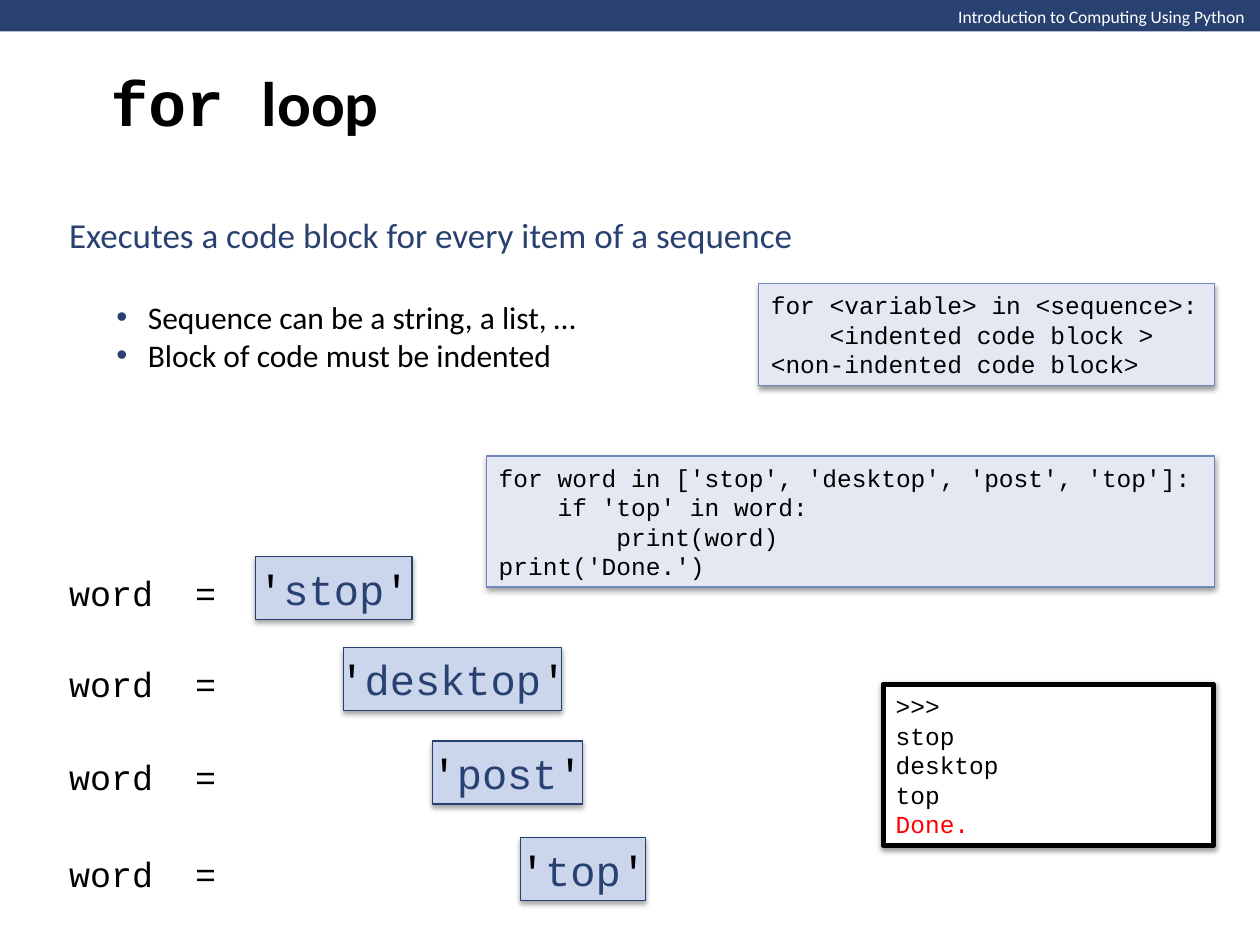
from dataclasses import dataclass

from lxml import etree
from pptx import Presentation
from pptx.dml.color import RGBColor
from pptx.enum.shapes import MSO_SHAPE
from pptx.enum.text import MSO_ANCHOR, MSO_AUTO_SIZE, PP_ALIGN
from pptx.oxml.ns import qn
from pptx.util import Pt

RECTANGLE = MSO_SHAPE.RECTANGLE
TOP, MIDDLE = MSO_ANCHOR.TOP, MSO_ANCHOR.MIDDLE
LEFT, CENTER = PP_ALIGN.LEFT, PP_ALIGN.CENTER
NO_AUTOFIT = MSO_AUTO_SIZE.NONE
TITLE_ONLY = 5


@dataclass(frozen=True)
class Theme:
    navy: str = "294171"
    black: str = "000000"
    white: str = "FFFFFF"
    red: str = "FF0000"
    chip_fill: str = "CBD6EC"
    chip_line: str = "263F70"
    code_fill: str = "E3E8F2"
    code_line: str = "7088BA"
    body_font: str = "Calibri"
    code_font: str = "Courier New"
    header_size: float = 10
    title_size: float = 36
    lead_size: float = 20
    bullet_size: float = 18
    chip_size: float = 24
    label_size: float = 20
    code_size: float = 14


THEME = Theme()


def text_format(font, size, color=THEME.black, bold=False):
    return {"name": font, "size": Pt(size), "bold": bold, "color": color}


def add_span(para, text, style):
    span = para.add_run()
    span.text = text
    for name, value in style.items():
        if name == "color":
            span.font.color.rgb = RGBColor.from_string(value)
        else:
            setattr(span.font, name, value)


def write(box, paragraphs, anchor=MIDDLE, align=LEFT, wrap=False):
    """Fill a box with paragraphs, each a list of (text, format) spans."""
    frame = box.text_frame
    settings = {"auto_size": NO_AUTOFIT, "word_wrap": wrap, "vertical_anchor": anchor}
    for name, value in settings.items():
        setattr(frame, name, value)
    for index, spans in enumerate(paragraphs):
        para = frame.add_paragraph() if index else frame.paragraphs[0]
        para.alignment = align
        for text, style in spans:
            add_span(para, text, style)


def add_text(page, area, paragraphs, **layout):
    box = page.shapes.add_textbox(*map(Pt, area))
    write(box, paragraphs, **layout)
    return box


def add_panel(page, area, fill, line=None, weight=0.75):
    panel = page.shapes.add_shape(RECTANGLE, *map(Pt, area))
    panel.shadow.inherit = False
    panel.fill.solid()
    panel.fill.fore_color.rgb = RGBColor.from_string(fill)
    if line:
        panel.line.color.rgb = RGBColor.from_string(line)
        panel.line.width = Pt(weight)
    else:
        panel.line.fill.background()
    return panel


def add_drop_shadow(panel, distance, opacity):
    effects = panel.element.spPr.find(qn("a:effectLst"))
    shadow = etree.SubElement(
        effects, qn("a:outerShdw"), blurRad=str(Pt(3.1)), dist=str(Pt(distance)),
        dir="5400000", rotWithShape="0")
    color = etree.SubElement(shadow, qn("a:srgbClr"), val=THEME.black)
    etree.SubElement(color, qn("a:alpha"), val=str(opacity * 1000))


def add_bullet(para, indent, hanging):
    properties = para._p.get_or_add_pPr()
    properties.set("marL", str(Pt(indent)))
    properties.set("indent", str(-Pt(hanging)))
    color = etree.SubElement(properties, qn("a:buClr"))
    etree.SubElement(color, qn("a:srgbClr"), val=THEME.navy)
    etree.SubElement(properties, qn("a:buFont"), typeface="Arial")
    etree.SubElement(properties, qn("a:buChar"), char="•")


def add_header(page):
    add_panel(page, (0, 0, 720.5, 18), THEME.navy)
    style = text_format(THEME.body_font, THEME.header_size, THEME.white)
    add_text(page, (540.5, 0, 180, 19.4),
             [[("Introduction to Computing Using Python", style)]], anchor=TOP)


def set_title(page):
    title = page.shapes.title
    title.left, title.top, title.width, title.height = map(Pt, (56, 0, 612, 116))
    write(title, [[
        ("for ", text_format(THEME.code_font, THEME.title_size, bold=True)),
        ("loop", text_format(THEME.body_font, THEME.title_size, bold=True)),
    ]], wrap=True)


def add_summary(page):
    lead = text_format(THEME.body_font, THEME.lead_size, THEME.navy)
    point = text_format(THEME.body_font, THEME.bullet_size)
    box = add_text(page, (32.4, 118, 430, 99.4), [
        [("Executes a code block for every item of a sequence", lead)],
        [("Sequence can be a string, a list, …", point)],
        [("Block of code must be indented", point)],
    ], wrap=True)
    bullets = box.text_frame.paragraphs[1:]
    bullets[0].space_before = Pt(24.4)
    for para in bullets:
        add_bullet(para, 45, 18)


def add_code(page, area, lines, fill=THEME.code_fill, line=THEME.code_line,
             weight=0.75, last_color=THEME.black):
    panel = add_panel(page, area, fill, line, weight)
    add_drop_shadow(panel, 1.6, 38)
    colors = [THEME.black] * (len(lines) - 1) + [last_color]
    write(panel, [
        [(text, text_format(THEME.code_font, THEME.code_size, color))]
        for text, color in zip(lines, colors)
    ])


def add_iteration(page, word, left, top, width):
    """Show the value that the loop variable takes in one pass."""
    label = text_format(THEME.code_font, THEME.label_size)
    quote = text_format(THEME.code_font, THEME.chip_size)
    value = text_format(THEME.code_font, THEME.chip_size, THEME.navy)
    add_text(page, (32.4, top + 4.7, 99.4, 31.7), [[("word  =", label)]])
    chip = add_panel(page, (left, top, width, 36), THEME.chip_fill, THEME.chip_line)
    add_drop_shadow(chip, 1.8, 35)
    write(chip, [[("'", quote), (word, value), ("'", quote)]], align=CENTER)


def main():
    deck = Presentation()
    deck.slide_width, deck.slide_height = Pt(720), Pt(540)
    page = deck.slides.add_slide(deck.slide_layouts[TITLE_ONLY])

    add_header(page)
    set_title(page)
    add_summary(page)
    add_code(page, (433.4, 162, 260.6, 58.3), [
        "for <variable> in <sequence>:",
        "    <indented code block >",
        "<non-indented code block>",
    ])
    add_code(page, (277.9, 260.6, 416.1, 74.9), [
        "for word in ['stop', 'desktop', 'post', 'top']:",
        "    if 'top' in word:",
        "        print(word)",
        "print('Done.')",
    ])
    iterations = [("stop", 318.2, 89.5), ("desktop", 370.1, 124.6),
                  ("post", 423.4, 85.7), ("top", 478.8, 71.3)]
    for index, (word, top, width) in enumerate(iterations):
        add_iteration(page, word, 146 + 50.5 * index, top, width)
    add_code(page, (504.7, 391, 188.6, 92.2),
             [">>>", "stop", "desktop", "top", "Done."],
             THEME.white, THEME.black, weight=3, last_color=THEME.red)

    deck.save("out.pptx")


if __name__ == "__main__":
    main()
